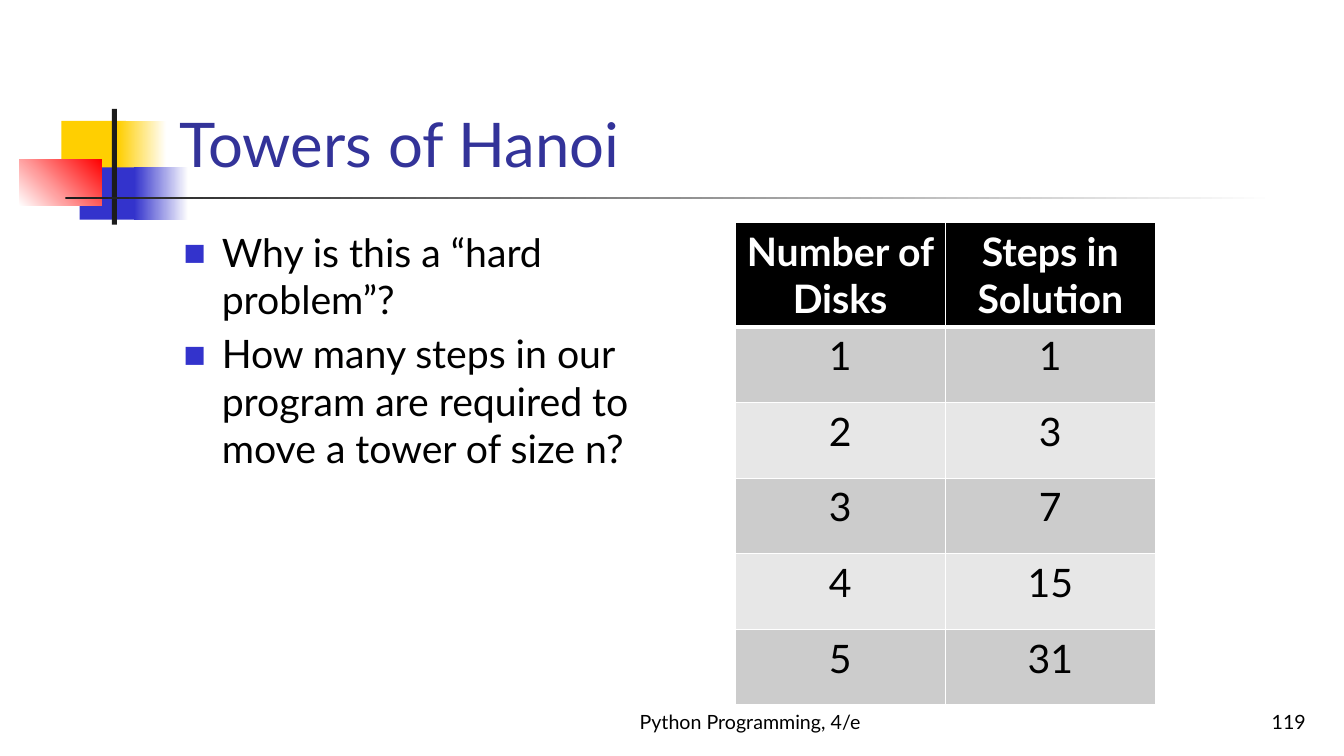
from dataclasses import dataclass
from lxml.etree import SubElement
from pptx import Presentation
from pptx.dml.color import RGBColor
from pptx.enum.shapes import MSO_SHAPE
from pptx.enum.text import MSO_ANCHOR, MSO_AUTO_SIZE, PP_ALIGN
from pptx.oxml.ns import qn
from pptx.util import Inches, Pt


@dataclass(frozen=True)
class Theme:
    font: str = "Lato"
    ink: str = "000000"
    paper: str = "FFFFFF"
    title: str = "333399"
    gold: str = "FFCF01"
    blue: str = "3333CC"
    red: str = "FF0000"
    dark: str = "1C1C1C"
    bands: tuple = ("CCCCCC", "E7E7E7")
    head_size: int = 44
    text_size: int = 28
    foot_size: int = 14


def apply(target, **values):
    for name, value in values.items():
        setattr(target, name, value)


def place(shape, box):
    names = ("left", "top", "width", "height")
    apply(shape, **dict(zip(names, map(Inches, box))))


class Deck:
    def __init__(self, theme):
        self.theme = theme
        self.prs = Presentation()
        apply(self.prs, slide_width=Inches(13.33), slide_height=Inches(7.5))
        self.slide = self.prs.slides.add_slide(self.prs.slide_layouts[1])
        self.shapes = self.slide.shapes

    def label(self, para, text, size, color, align=PP_ALIGN.LEFT, bold=False):
        para.alignment = align
        run = para.add_run()
        run.text = text
        apply(run.font, name=self.theme.font, size=Pt(size), bold=bold)
        run.font.color.rgb = RGBColor.from_string(color)

    def block(self, box, *colors, angle=0):
        """Draw a bar: one colour is solid, two colours fade."""
        bar = self.shapes.add_shape(MSO_SHAPE.RECTANGLE, *map(Inches, box))
        bar.shadow.inherit = False
        bar.line.fill.background()
        if len(colors) == 1:
            bar.fill.solid()
            bar.fill.fore_color.rgb = RGBColor.from_string(colors[0])
            return
        bar.fill.gradient()
        bar.fill.gradient_angle = angle
        for stop, color in zip(bar.fill.gradient_stops, colors):
            stop.color.rgb = RGBColor.from_string(color)

    def raise_up(self, holder, box, anchor):
        """Put a placeholder in its box, in front of the bars."""
        place(holder, box)
        self.shapes.element.append(holder.element)
        apply(holder.text_frame, word_wrap=True, vertical_anchor=anchor,
              auto_size=MSO_AUTO_SIZE.NONE)
        return holder.text_frame

    def title(self, text, box):
        frame = self.raise_up(self.shapes.title, box, MSO_ANCHOR.BOTTOM)
        self.label(frame.paragraphs[0], text, self.theme.head_size, self.theme.title)

    def bullets(self, items, box):
        frame = self.raise_up(self.slide.placeholders[1], box, MSO_ANCHOR.TOP)
        for i, item in enumerate(items):
            para = frame.add_paragraph() if i else frame.paragraphs[0]
            self.label(para, item, self.theme.text_size, self.theme.ink)
            para.space_before = Pt(self.theme.text_size * 0.2)
            props = para._p.get_or_add_pPr()
            props.set("marL", str(Inches(0.38)))
            props.set("indent", str(Inches(-0.38)))
            color = SubElement(props, qn("a:buClr"))
            SubElement(color, qn("a:srgbClr"), val=self.theme.blue)
            SubElement(props, qn("a:buSzPct"), val="60000")
            SubElement(props, qn("a:buFont"), typeface=self.theme.font)
            SubElement(props, qn("a:buChar"), char="■")

    def footer(self, text, box, align):
        frame = self.shapes.add_textbox(*map(Inches, box)).text_frame
        apply(frame, word_wrap=True, vertical_anchor=MSO_ANCHOR.BOTTOM)
        self.label(frame.paragraphs[0], text, self.theme.foot_size,
                   self.theme.ink, align)

    def edge(self, cell, side, width):
        line = SubElement(cell._tc.get_or_add_tcPr(), qn("a:ln" + side),
                          w=str(Pt(width)))
        fill = SubElement(line, qn("a:solidFill"))
        SubElement(fill, qn("a:srgbClr"), val=self.theme.paper)

    def table(self, rows, box, top_row, row):
        theme = self.theme
        grid = self.shapes.add_table(len(rows), len(rows[0]),
                                     *map(Inches, box)).table
        for r, values in enumerate(rows):
            head = r == 0
            grid.rows[r].height = Inches(top_row if head else row)
            back = theme.ink if head else theme.bands[(r - 1) % 2]
            color = theme.paper if head else theme.ink
            for c, value in enumerate(values):
                cell = grid.cell(r, c)
                self.label(cell.text_frame.paragraphs[0], str(value),
                           theme.text_size, color, PP_ALIGN.CENTER, head)
                for side in "LRTB":
                    thick = (head and side == "B") or (r == 1 and side == "T")
                    self.edge(cell, side, 3 if thick else 1)
                cell.fill.solid()
                cell.fill.fore_color.rgb = RGBColor.from_string(back)


def main():
    theme = Theme()
    deck = Deck(theme)
    deck.block((0.61, 1.2, 0.64, 0.52), theme.gold)
    deck.block((1.17, 1.2, 0.48, 0.52), theme.gold, theme.paper)
    deck.block((0.79, 1.66, 0.62, 0.52), theme.blue)
    deck.block((1.33, 1.66, 0.54, 0.52), theme.blue, theme.paper)
    deck.block((0.19, 1.58, 0.82, 0.46), theme.paper, theme.red, angle=45)
    deck.block((1.11, 1.08, 0.05, 1.15), theme.dark)
    deck.block((0.65, 1.95, 12, 0.03), theme.dark, theme.paper)
    deck.footer("Python Programming, 4/e", (5.33, 6.83, 4.22, 0.5), PP_ALIGN.CENTER)
    deck.footer("119", (10.27, 6.83, 2.78, 0.5), PP_ALIGN.RIGHT)
    deck.title("Towers of Hanoi", (1.68, 0.23, 11.36, 1.6))
    deck.bullets(["Why is this a “hard problem”?",
                  "How many steps in our program are required to "
                  "move a tower of size n?"], (1.72, 2.21, 5.5, 4.5))
    steps = [(n, 2 ** n - 1) for n in range(1, 6)]
    deck.table([("Number of Disks", "Steps in Solution"), *steps],
               (7.29, 2.21, 4.17, 4.78), 1.03, 0.75)
    deck.prs.save("out.pptx")


if __name__ == "__main__":
    main()
